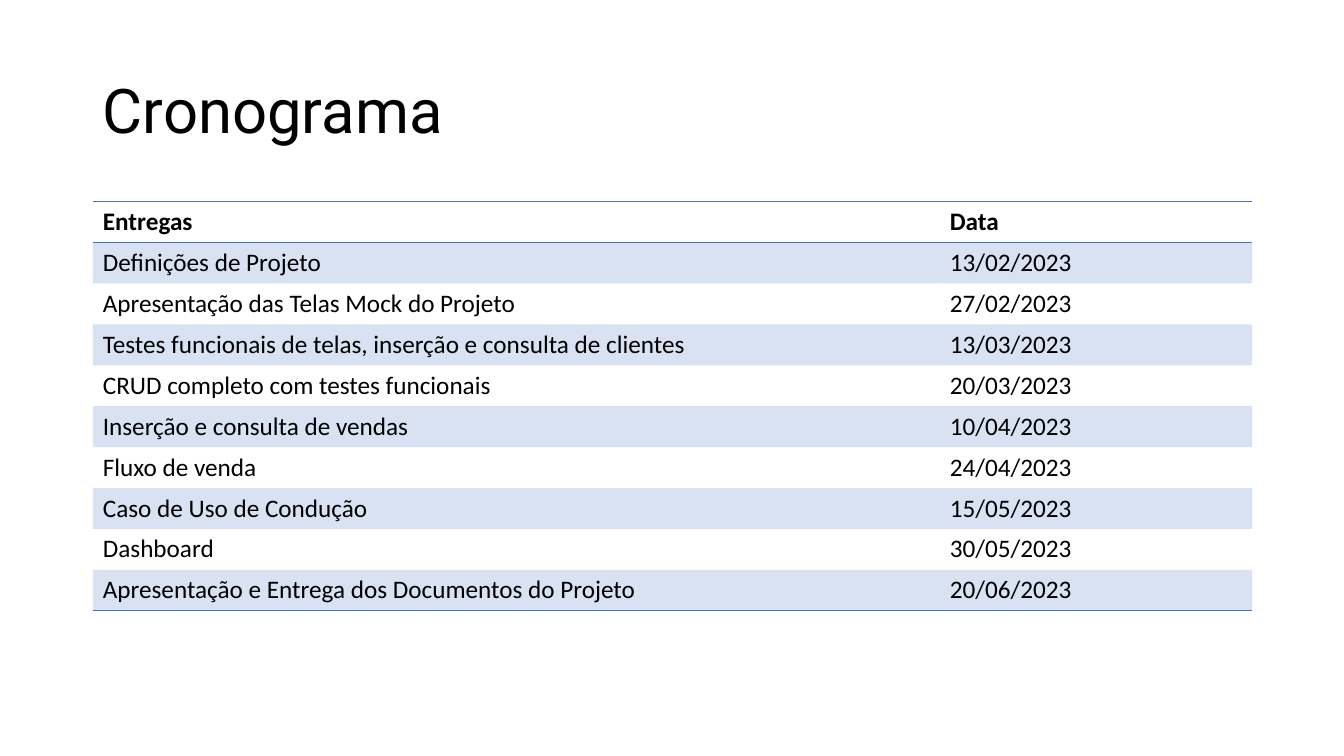
from lxml import etree
from pptx import Presentation
from pptx.dml.color import RGBColor
from pptx.enum.text import MSO_ANCHOR, PP_ALIGN
from pptx.oxml.ns import qn
from pptx.util import Inches, Pt

LEFT = PP_ALIGN.LEFT
TOP, MIDDLE = MSO_ANCHOR.TOP, MSO_ANCHOR.MIDDLE
BLACK = RGBColor(0x00, 0x00, 0x00)
BLUE = RGBColor(0x44, 0x72, 0xC4)
PLAIN = "{2D5ABB26-0587-4C30-8999-92F81FD0307C}"

HEAD = {"name": "Roboto", "size": Pt(44), "bold": False}
BODY = {"name": "Calibri", "size": Pt(18), "bold": False}

ROWS = [
    ("Entregas", "Data"),
    ("Definições de Projeto", "13/02/2023"),
    ("Apresentação das Telas Mock do Projeto", "27/02/2023"),
    ("Testes funcionais de telas, inserção e consulta de clientes", "13/03/2023"),
    ("CRUD completo com testes funcionais", "20/03/2023"),
    ("Inserção e consulta de vendas", "10/04/2023"),
    ("Fluxo de venda", "24/04/2023"),
    ("Caso de Uso de Condução", "15/05/2023"),
    ("Dashboard", "30/05/2023"),
    ("Apresentação e Entrega dos Documentos do Projeto", "20/06/2023"),
]


def write(frame, text, style):
    frame.text = text
    par = frame.paragraphs[0]
    par.alignment = LEFT
    for key, value in style.items():
        setattr(par.font, key, value)
    par.font.color.rgb = BLACK
    return par


def add_title(slide, box, text):
    title = slide.shapes.title
    for key, value in zip(("left", "top", "width", "height"), box):
        setattr(title, key, Inches(value))
    title.text_frame.vertical_anchor = MIDDLE
    write(title.text_frame, text, HEAD).line_spacing = 0.9


def rule(cell, side):
    """Draw one blue edge; call before the cell's fill is set."""
    props = cell._tc.get_or_add_tcPr()
    line = etree.SubElement(props, qn("a:" + side), w=str(Pt(1)))
    fill = etree.SubElement(line, qn("a:solidFill"))
    etree.SubElement(fill, qn("a:srgbClr"), val=str(BLUE))


def shade(cell):
    """Fill the cell with blue at 20% opacity."""
    cell.fill.solid()
    cell.fill.fore_color.rgb = BLUE
    color = cell._tc.tcPr.find(qn("a:solidFill")).find(qn("a:srgbClr"))
    etree.SubElement(color, qn("a:alpha"), val="20000")


def add_dates(slide, box, rows, split):
    """Place the table, with split as the width of its first column."""
    left, top, width, height = box
    frame = slide.shapes.add_table(len(rows), 2, *map(Inches, box))
    table = frame.table
    table._tbl.tblPr.find(qn("a:tableStyleId")).text = PLAIN
    table.horz_banding = False
    for col, size in zip(table.columns, (split, width - split)):
        col.width = Inches(size)
    last = len(rows) - 1
    for i, row in enumerate(rows):
        table.rows[i].height = Inches(height / len(rows))
        for j, text in enumerate(row):
            cell = table.cell(i, j)
            cell.vertical_anchor = TOP
            write(cell.text_frame, text, {**BODY, "bold": i == 0})
            if i == 0:
                rule(cell, "lnT")
            if i in (0, last):
                rule(cell, "lnB")
            if i % 2:
                shade(cell)
            else:
                cell.fill.background()


def main():
    deck = Presentation()
    deck.slide_width, deck.slide_height = Inches(13.33), Inches(7.5)
    slide = deck.slides.add_slide(deck.slide_layouts[5])
    add_title(slide, (0.92, 0.4, 11.5, 1.45), "Cronograma")
    add_dates(slide, (0.92, 2, 11.5, 4.06), ROWS, 8.4)
    deck.save("out.pptx")


if __name__ == "__main__":
    main()
